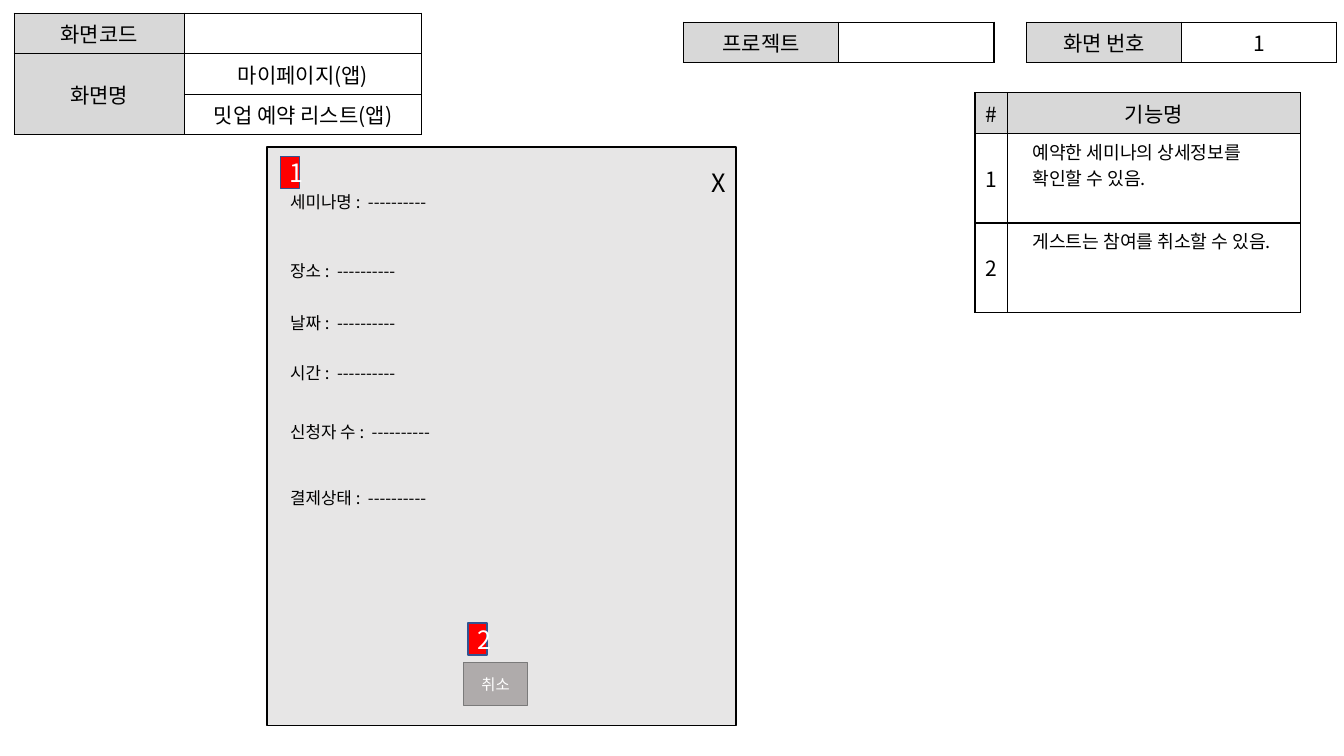
"""Build the wireframe slide for the meetup booking list."""
from lxml import etree
from pptx import Presentation
from pptx.dml.color import RGBColor
from pptx.enum import shapes, text
from pptx.oxml.ns import qn
from pptx.util import Inches, Pt

FONT = "Noto Sans CJK KR"
MID = text.MSO_ANCHOR.MIDDLE


def paint(part, shade):
    part.solid()
    part.fore_color.rgb = RGBColor.from_string(shade)


def style(frame, size, shade="000000", align=None):
    for para in frame.paragraphs:
        para.alignment = align
        if not para.runs:
            end = etree.SubElement(para._p, qn("a:endParaRPr"))
            end.set("sz", str(size * 100))
        for run in para.runs:
            run.font.size = Pt(size)
            run.font.name = FONT
            paint(run.font.fill, shade)
            east = etree.SubElement(run._r.get_or_add_rPr(), qn("a:ea"))
            east.set("typeface", FONT)


deck = Presentation()
deck.slide_width, deck.slide_height = Inches(13.33), Inches(7.5)
slide = deck.slides.add_slide(deck.slide_layouts[6])

GRAY, WHITE = "D8D8D8", "FFFFFF"
tables = [
    (0.14, 0.13, [1.69, 2.35], [0.4] * 3,
     [["화면코드", ""], ["화면명", "마이페이지(앱)"], ["", "밋업 예약 리스트(앱)"]]),
    (10.18, 0.22, [1.54, 1.54], [0.4], [["화면 번호", "1"]]),
    (6.78, 0.22, [1.54, 1.54], [0.4], [["프로젝트", ""]]),
    (9.67, 0.92, [0.32, 2.91], [0.4, 0.89, 0.89],
     [["#", "기능명"], ["1", "예약한 세미나의 상세정보를 확인할 수 있음."],
      ["2", "게스트는 참여를 취소할 수 있음."]]),
]
for left, top, widths, heights, words in tables:
    frame = slide.shapes.add_table(
        len(heights), 2, Inches(left), Inches(top),
        Inches(sum(widths)), Inches(sum(heights)))
    grid = frame.table
    for col, width in zip(grid.columns, widths):
        col.width = Inches(width)
    for row, height in zip(grid.rows, heights):
        row.height = Inches(height)
    notes = words[0][0] == "#"
    for r, line in enumerate(words):
        for c, word in enumerate(line):
            cell = grid.cell(r, c)
            cell.text = word
            head = r == 0 if notes else c == 0
            paint(cell.fill, GRAY if head else WHITE)
            if notes and r and c:
                style(cell.text_frame, 13)
                props = cell.text_frame.paragraphs[0]._p.get_or_add_pPr()
                props.set("marL", str(Inches(0.15)))
                props.set("indent", "0")
            else:
                cell.vertical_anchor = MID
                style(cell.text_frame, 15, align=text.PP_ALIGN.CENTER)
            for i, side in enumerate("LRTB"):
                edge = etree.Element(qn("a:ln" + side), w=str(Pt(1)))
                fill = etree.SubElement(edge, qn("a:solidFill"))
                etree.SubElement(fill, qn("a:srgbClr"), val="000000")
                cell._tc.get_or_add_tcPr().insert(i, edge)
    if len(heights) == 3 and not notes:
        grid.cell(1, 0).merge(grid.cell(2, 0))

popup = slide.shapes.add_group_shape().shapes
boxes = [
    (2.65, 1.46, 4.65, 5.74, "E7E6E6", "000000", "", 18),
    (4.6, 6.57, 0.63, 0.43, "AFABAB", "7A7A7A", "취소", 11),
    (2.78, 1.55, 0.19, 0.32, "FF0000", "325491", "1", 18),
    (4.64, 6.18, 0.19, 0.32, "FF0000", "325491", "2", 18),
]
for left, top, width, height, fill, line, word, size in boxes:
    box = popup.add_shape(
        shapes.MSO_SHAPE.RECTANGLE,
        Inches(left), Inches(top), Inches(width), Inches(height))
    box.shadow.inherit = False
    paint(box.fill, fill)
    paint(box.line.fill, line)
    box.line.width = Pt(1)
    if word:
        box.text_frame.text = word
        box.text_frame.vertical_anchor = MID
        style(box.text_frame, size, WHITE, text.PP_ALIGN.CENTER)

fields = [("세미나명", 1.85), ("장소", 2.54), ("날짜", 3.05),
          ("시간", 3.55), ("신청자 수", 4.13), ("결제상태", 4.79)]
labels = [(2.78, top, 2.2, 0.39, name + " :  ----------", 12)
          for name, top in fields]
labels.append((6.96, 1.61, 0.25, 0.52, "X", 18))
for left, top, width, height, word, size in labels:
    label = popup.add_textbox(
        Inches(left), Inches(top), Inches(width), Inches(height))
    label.text_frame.word_wrap = True
    label.text_frame.text = word
    style(label.text_frame, size)

deck.save("out.pptx")
